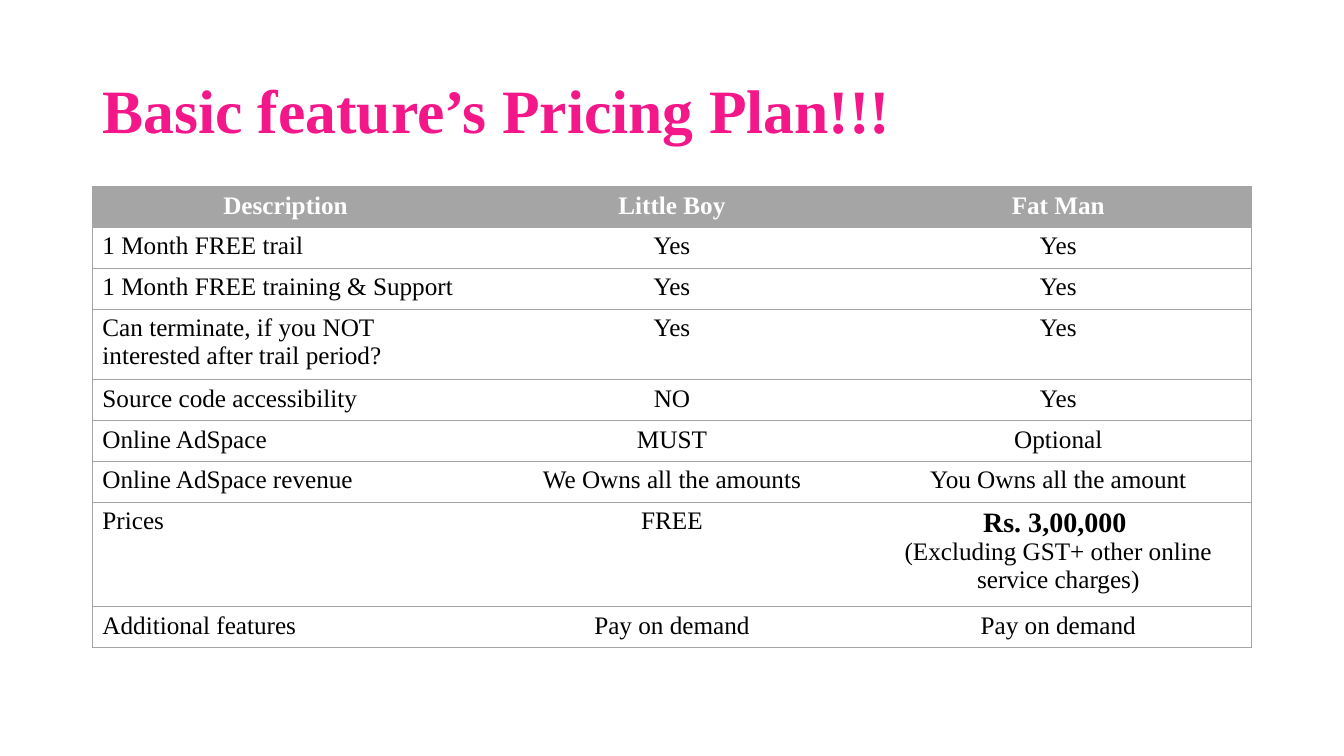
from lxml.etree import SubElement
from pptx import Presentation
from pptx.dml.color import RGBColor
from pptx.enum.text import MSO_ANCHOR, PP_ALIGN
from pptx.oxml.ns import qn
from pptx.util import Pt

PINK = RGBColor(0xF3, 0x17, 0x8A)
GRAY = RGBColor(0xA5, 0xA5, 0xA5)
WHITE = RGBColor(0xFF, 0xFF, 0xFF)
BLACK = RGBColor(0x00, 0x00, 0x00)

TITLE_FORMAT = {"size": Pt(44), "bold": True, "color": PINK}
HEADER_FORMAT = {"size": Pt(18), "bold": True, "color": WHITE}
BODY_FORMAT = {"size": Pt(18), "bold": False, "color": BLACK}
PRICE_FORMAT = {"size": Pt(20), "bold": True, "color": BLACK}

PRICE = "Rs. 3,00,000 "
PLANS = [
    ("Description", "Little Boy", "Fat Man"),
    ("1 Month FREE trail", "Yes", "Yes"),
    ("1 Month FREE training & Support", "Yes", "Yes"),
    ("Can terminate, if you NOT interested after trail period?", "Yes", "Yes"),
    ("Source code accessibility", "NO", "Yes"),
    ("Online AdSpace", "MUST", "Optional"),
    ("Online AdSpace revenue", "We Owns all the amounts", "You Owns all the amount"),
    ("Prices", "FREE", PRICE + "\n(Excluding GST+ other online service charges)"),
    ("Additional features", "Pay on demand", "Pay on demand"),
]
ROW_HEIGHTS = [29.2, 29.2, 29.2, 47.1, 29.2, 29.2, 29.2, 69.3, 27.1]


class PricingSlide:
    """Hold the font and the current slide, and add styled elements to it."""

    def __init__(self, presentation, font_name):
        self.slide = presentation.slides.add_slide(presentation.slide_layouts[6])
        self.font_name = font_name

    def style(self, paragraph, text, values):
        run = paragraph.add_run()
        run.text = text
        run.font.name = self.font_name
        for name, value in values.items():
            if name == "color":
                run.font.color.rgb = value
            else:
                setattr(run.font, name, value)

    def title(self, text, left, top, width, height):
        shape = self.slide.shapes.add_textbox(Pt(left), Pt(top), Pt(width), Pt(height))
        frame = shape.text_frame
        frame.word_wrap = True
        frame.vertical_anchor = MSO_ANCHOR.MIDDLE
        paragraph = frame.paragraphs[0]
        paragraph.line_spacing = 0.9
        self.style(paragraph, text, TITLE_FORMAT)

    def borders(self, cell, visible):
        properties = cell._tc.get_or_add_tcPr()
        for side in "LRTB":
            line = SubElement(properties, qn(f"a:ln{side}"), w=str(Pt(0.5)))
            if side in visible:
                fill = SubElement(line, qn("a:solidFill"))
                SubElement(fill, qn("a:srgbClr"), val=str(GRAY))
            else:
                SubElement(line, qn("a:noFill"))

    def cell(self, cell, text, is_header, centered, visible):
        self.borders(cell, visible)
        if is_header:
            cell.fill.solid()
            cell.fill.fore_color.rgb = GRAY
        else:
            cell.fill.background()
        frame = cell.text_frame
        for index, line in enumerate(text.split("\n")):
            paragraph = frame.add_paragraph() if index else frame.paragraphs[0]
            paragraph.alignment = PP_ALIGN.CENTER if centered else PP_ALIGN.LEFT
            values = PRICE_FORMAT if line == PRICE else BODY_FORMAT
            self.style(paragraph, line, HEADER_FORMAT if is_header else values)

    def table(self, rows, heights, left, top, width):
        columns = len(rows[0])
        shape = self.slide.shapes.add_table(
            len(rows), columns, Pt(left), Pt(top), Pt(width), Pt(sum(heights)))
        table = shape.table
        table.horz_banding = False
        for row, (texts, height) in enumerate(zip(rows, heights)):
            table.rows[row].height = Pt(height)
            for column, text in enumerate(texts):
                visible = "TB" + {0: "L", columns - 1: "R"}.get(column, "")
                is_header = row == 0
                self.cell(table.cell(row, column), text, is_header,
                          is_header or column > 0, visible)


def main():
    presentation = Presentation()
    presentation.slide_width = Pt(960)
    presentation.slide_height = Pt(540)
    pricing = PricingSlide(presentation, "Times New Roman")
    pricing.title("Basic feature’s Pricing Plan!!!", 66, 28.8, 828, 104.4)
    pricing.table(PLANS, ROW_HEIGHTS, 66, 133.2, 828)
    presentation.save("out.pptx")


if __name__ == "__main__":
    main()
